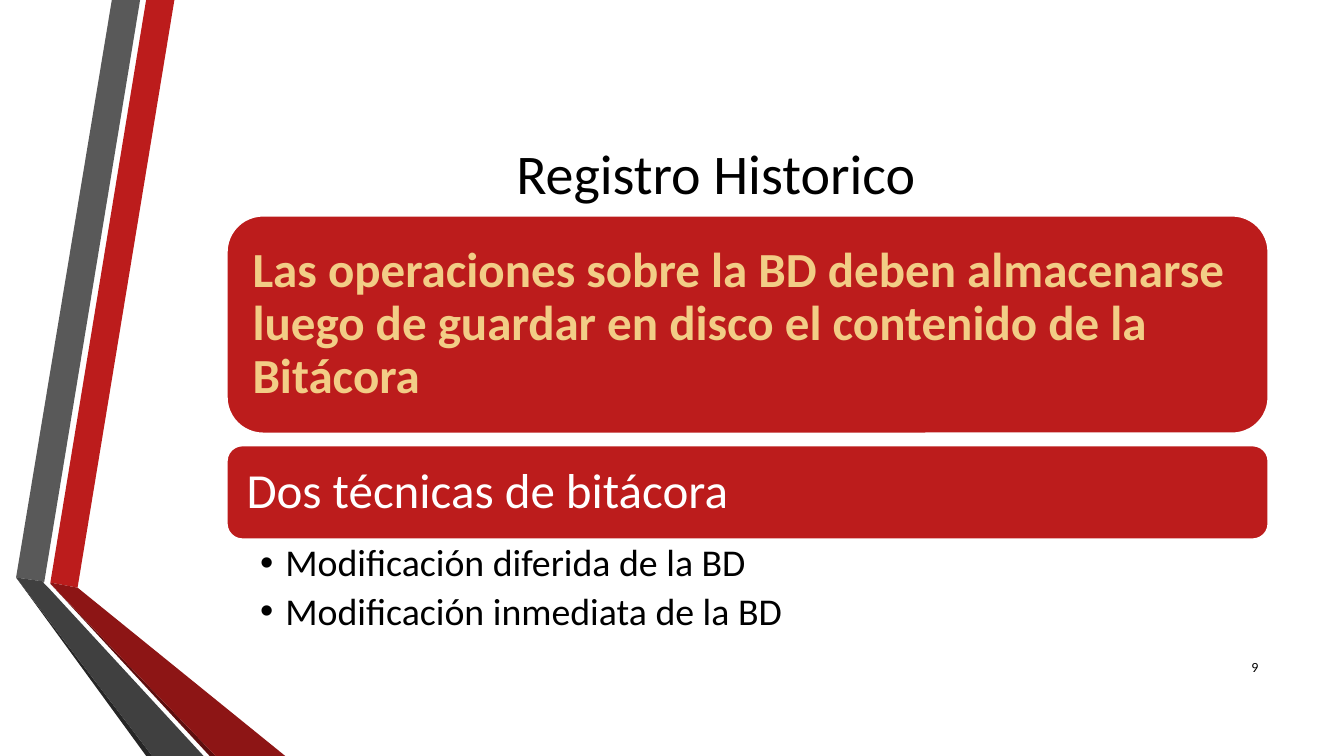
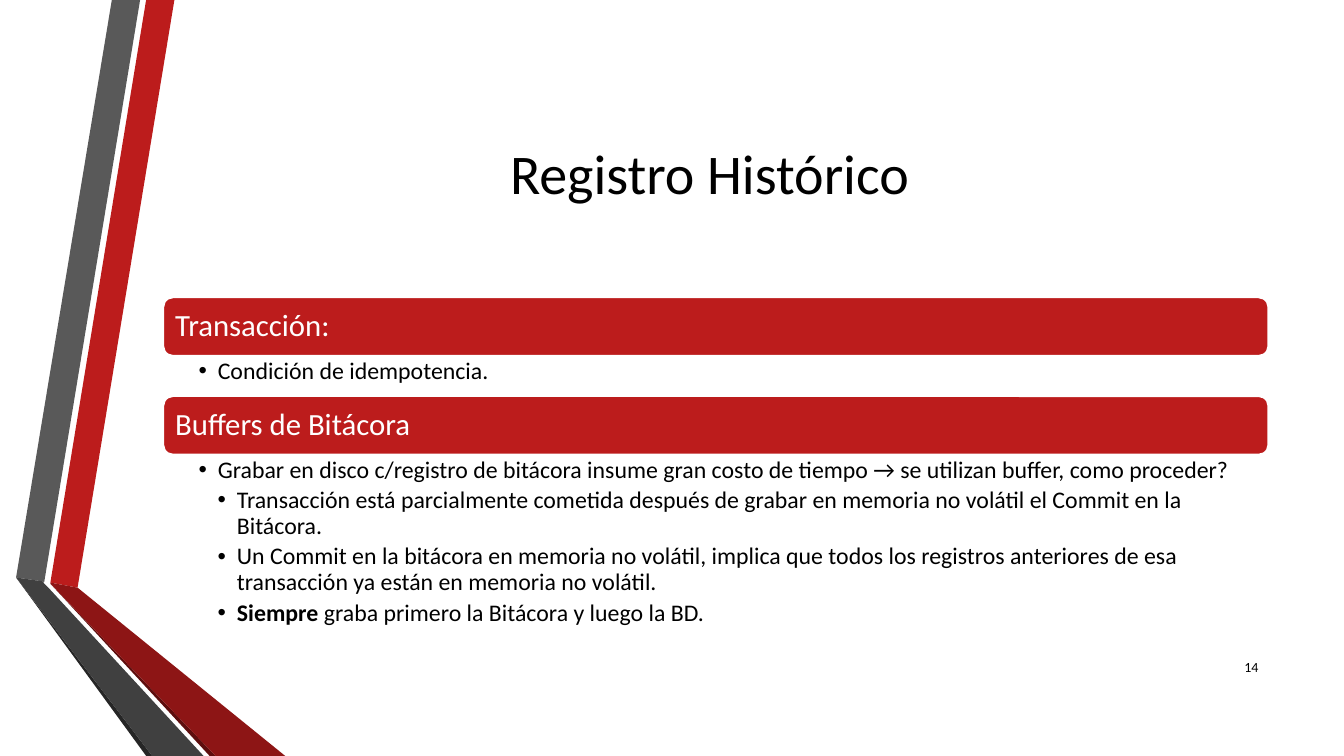
from lxml.etree import SubElement
from pptx import Presentation
from pptx.dml.color import RGBColor
from pptx.enum.shapes import MSO_SHAPE
from pptx.enum.text import MSO_ANCHOR, PP_ALIGN
from pptx.oxml.ns import qn
from pptx.util import Inches, Pt

FONT = "Calibri"
COLORS = {
    "red": "BC1C1C", "dark_red": "8D1515", "deep_red": "5E0E0E",
    "gray": "595959", "dark_gray": "404040", "deep_gray": "262626",
    "gold": "F2CD86", "white": "FFFFFF", "black": "000000",
}
RIBBONS = [
    ("red", [(0.5, 5.78), (0.77, 5.83), (1.73, 0), (1.45, 0)]),
    ("gray", [(1.39, 0), (1.11, 0), (0.16, 5.73), (0.44, 5.77)]),
    ("deep_gray", [(0.16, 5.73), (1.45, 7.5), (1.51, 7.5)]),
    ("deep_red", [(0.5, 5.79), (2.08, 7.5), (2.14, 7.5)]),
    ("dark_red", [(0.5, 5.79), (2.14, 7.5), (2.83, 7.5), (0.77, 5.83), (0.5, 5.78)]),
    ("dark_gray", [(2.02, 7.5), (0.48, 5.83), (0.43, 5.78), (0.44, 5.77),
                   (0.16, 5.73), (1.51, 7.5)]),
]
RIGHT_EDGE = 12.58


def color(name):
    return RGBColor.from_string(COLORS[name])


def add_ribbons(slide):
    for fill, points in RIBBONS:
        corners = [(Inches(x), Inches(y)) for x, y in points]
        builder = slide.shapes.build_freeform(*corners[0])
        builder.add_line_segments(corners[1:], close=True)
        shape = builder.convert_to_shape()
        shape.shadow.inherit = False
        shape.fill.solid()
        shape.fill.fore_color.rgb = color(fill)
        shape.line.fill.background()


def format_runs(paragraph, size, font_color, bold=False):
    for run in paragraph.runs:
        run.font.name = FONT
        run.font.size = Pt(size)
        run.font.bold = bold
        run.font.color.rgb = color(font_color)


def set_margins(frame, left, top, right, bottom):
    frame.margin_left, frame.margin_top = Inches(left), Inches(top)
    frame.margin_right, frame.margin_bottom = Inches(right), Inches(bottom)


def add_text_frame(slide, left, top, width, height):
    box = slide.shapes.add_textbox(Inches(left), Inches(top), Inches(width), Inches(height))
    box.text_frame.word_wrap = True
    return box.text_frame


def add_label(slide, text, area, size, alignment):
    frame = add_text_frame(slide, *area)
    frame.vertical_anchor = MSO_ANCHOR.MIDDLE
    frame.text = text
    paragraph = frame.paragraphs[0]
    paragraph.alignment = alignment
    format_runs(paragraph, size, "black")


def add_heading(slide, text, left, top, height, size, inset, font_color="white", bold=False):
    """Rounded red bar that reaches the right edge of the content."""
    shape = slide.shapes.add_shape(
        MSO_SHAPE.ROUNDED_RECTANGLE,
        Inches(left), Inches(top), Inches(RIGHT_EDGE - left), Inches(height))
    shape.shadow.inherit = False
    shape.fill.solid()
    shape.fill.fore_color.rgb = color("red")
    shape.line.color.rgb = color("white")
    shape.line.width = Pt(1.25)
    frame = shape.text_frame
    frame.word_wrap = True
    frame.vertical_anchor = MSO_ANCHOR.MIDDLE
    set_margins(frame, inset, inset, inset, inset)
    frame.text = text
    paragraph = frame.paragraphs[0]
    paragraph.alignment = PP_ALIGN.LEFT
    paragraph.line_spacing = 0.9
    format_runs(paragraph, size, font_color, bold)


def add_bullets(slide, items, left, top, height, size, indent, margins):
    """Each item is (level, text) or (level, text, bold opening words)."""
    frame = add_text_frame(slide, left, top, RIGHT_EDGE - left, height)
    set_margins(frame, *margins)
    for index, (level, text, *bold_words) in enumerate(items):
        paragraph = frame.add_paragraph() if index else frame.paragraphs[0]
        for words in (*bold_words, text):
            paragraph.add_run().text = words
        format_runs(paragraph, size, "black")
        if bold_words:
            paragraph.runs[0].font.bold = True
        paragraph.line_spacing = 0.9
        paragraph.space_after = Pt(size * 0.2)
        properties = paragraph._p.get_or_add_pPr()
        properties.set("marL", str(Inches(indent * level)))
        properties.set("indent", str(Inches(-indent)))
        SubElement(properties, qn("a:buFont")).set("typeface", "Arial")
        SubElement(properties, qn("a:buChar")).set("char", "•")


def add_base_slide(presentation, title, number):
    slide = presentation.slides.add_slide(presentation.slide_layouts[6])
    add_ribbons(slide)
    add_label(slide, title, (1.62, 0.75, 10.96, 1.92), 40, PP_ALIGN.CENTER)
    add_label(slide, number, (11.98, 6.42, 0.6, 0.4), 10, PP_ALIGN.RIGHT)
    return slide


def add_techniques_slide(presentation):
    slide = add_base_slide(presentation, "Registro Historico", "9")
    left = 2.25
    add_heading(slide, "Las operaciones sobre la BD deben almacenarse luego de guardar "
                "en disco el contenido de la Bitácora",
                left, 2.14, 2.16, 35, 0.15, "gold", True)
    add_heading(slide, "Dos técnicas de bitácora", left, 4.42, 0.93, 35, 0.15)
    add_bullets(slide, [
        (1, "Modificación diferida de la BD"),
        (1, "Modificación inmediata de la BD"),
    ], left, 5.35, 1.06, 27, 0.25, (0.33, 0.05, 0.27, 0.05))


def add_buffers_slide(presentation):
    slide = add_base_slide(presentation, "Registro Histórico ", "14")
    left, heading_height = 1.62, 0.58
    sections = [
        ("Transacción:", 2.95, 0.4, [(1, "Condición de idempotencia.")]),
        ("Buffers de Bitácora", 3.93, 1.79, [
            (1, "Grabar en disco c/registro de bitácora insume gran costo de tiempo → "
                "se utilizan buffer, como proceder?"),
            (2, "Transacción está parcialmente cometida después de grabar en memoria "
                "no volátil el Commit en la Bitácora."),
            (2, "Un Commit en la bitácora en memoria no volátil, implica que todos los "
                "registros anteriores de esa transacción ya están en memoria no volátil."),
            (2, " graba primero la Bitácora y luego la BD.", "Siempre"),
        ]),
    ]
    for heading, top, bullets_height, items in sections:
        add_heading(slide, heading, left, top, heading_height, 22, 0.09)
        add_bullets(slide, items, left, top + heading_height, bullets_height,
                    17, 0.19, (0.35, 0.03, 0.17, 0.03))


def main():
    presentation = Presentation()
    presentation.slide_width = Inches(13.33)
    presentation.slide_height = Inches(7.5)
    add_techniques_slide(presentation)
    add_buffers_slide(presentation)
    presentation.save("out.pptx")


if __name__ == "__main__":
    main()
